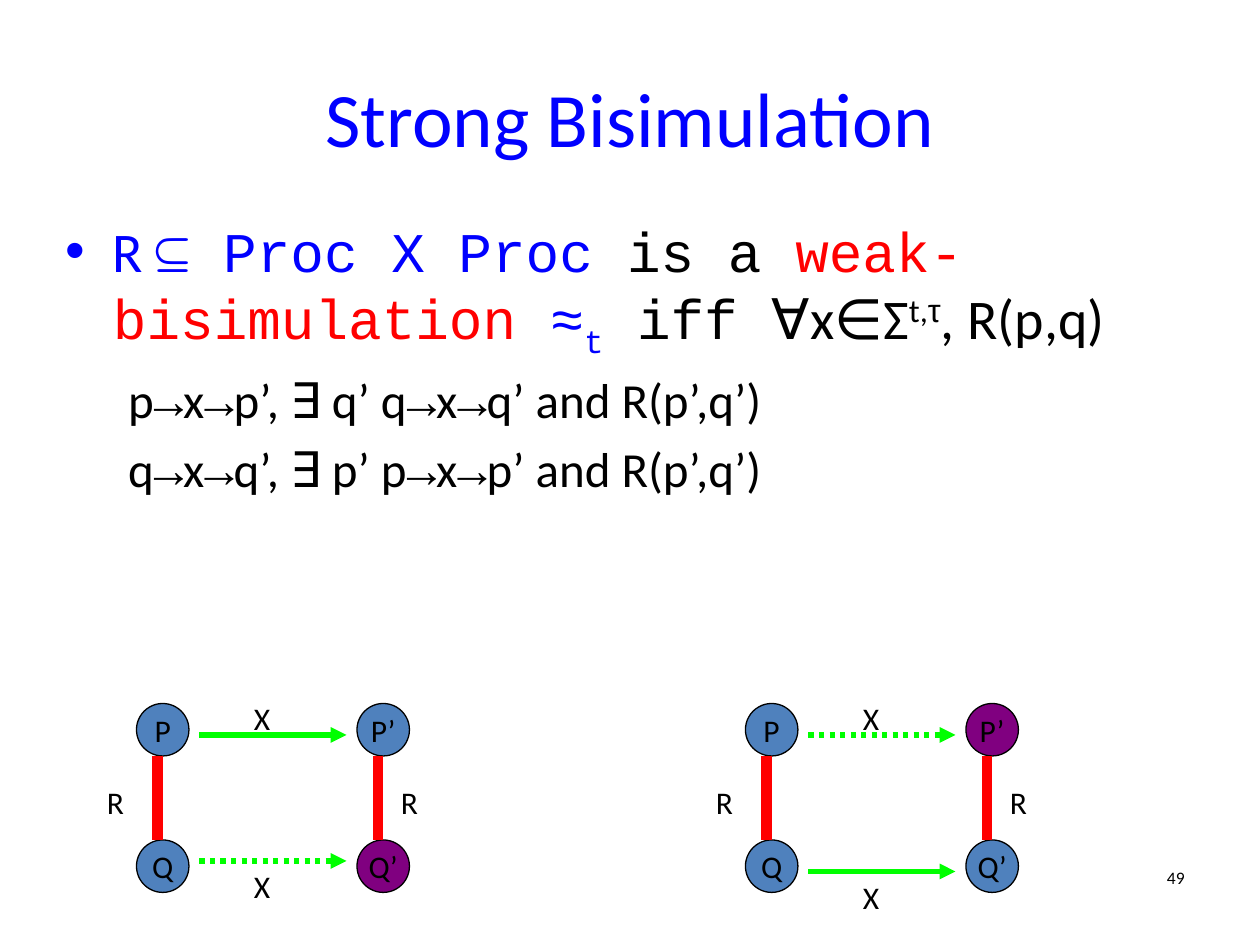
from lxml import etree
from pptx import Presentation, util as u
from pptx.dml.color import RGBColor
from pptx.enum import dml, shapes, text
from pptx.oxml.ns import qn

C = {"blue": "0000FF", "black": "000000", "red": "FF0000", "green": "00FF00",
     "node": "4F81BD", "purple": "800080"}
SANS, MONO, ARIAL = "Calibri", "Courier New", "Arial"

prs = Presentation()
prs.slide_width, prs.slide_height = u.Inches(10), u.Inches(7.5)
G = prs.slide_width // 120  # grid step: a twelfth of an inch
s = prs.slides.add_slide(prs.slide_layouts[1])


def style(r, size, color="black", font=SANS):
    r.font.size, r.font.name = u.Pt(size), font
    r.font.color.rgb = RGBColor.from_string(C[color])


def line(x1, y1, x2, y2, color, width, dash=None, arrow=False):
    cn = s.shapes.add_connector(shapes.MSO_CONNECTOR.STRAIGHT,
                                x1 * G, y1 * G, x2 * G, y2 * G)
    cn.line.color.rgb = RGBColor.from_string(C[color])
    cn.line.width = u.Pt(width)
    if dash:
        cn.line.dash_style = dash
    if arrow:
        etree.SubElement(cn.line._get_or_add_ln(), qn("a:tailEnd"), type="triangle")
    etree.SubElement(cn._element.spPr, qn("a:effectLst"))


# Title
title = s.shapes.title
title.left, title.top, title.width, title.height = 6 * G, u.Inches(0.3), 108 * G, 15 * G
title.text_frame.text = "Strong Bisimulation"
style(title.text_frame.paragraphs[0].runs[0], 44, "blue")

# Definition: one bullet and two conditions; runs are (text, colour, font, baseline)
body = s.placeholders[1]
body.left, body.top, body.width, body.height = 5 * G, 20 * G, 108 * G, 32 * G
tf = body.text_frame
tf.auto_size = text.MSO_AUTO_SIZE.NONE
definition = [
    ("R ", "blue", SANS, 0), ("⊆ Proc X Proc ", "blue", MONO, 0),
    ("is a ", "black", MONO, 0), ("weak-bisimulation ", "red", MONO, 0),
    ("≈", "blue", MONO, 0), ("t", "blue", MONO, -25),
    (" iff ", "black", MONO, 0), ("∀x∈Σ", "black", SANS, 0),
    ("t,", "black", SANS, 30), ("τ", "black", ARIAL, 30),
    (", R(p,q)", "black", SANS, 0)]
conditions = [["p", "→", "x", "→", "p’, ∃ q’ q", "→", "x", "→", "q’ and R(p’,q’)"],
              ["q", "→", "x", "→", "q’, ∃ p’ p", "→", "x", "→", "p’ and R(p’,q’)"]]
paragraphs = [definition] + [
    [(t, "black", MONO if t == "→" else SANS, 0) for t in parts] for parts in conditions]
for i, runs in enumerate(paragraphs):
    p = tf.add_paragraph() if i else tf.paragraphs[0]
    pPr = p._p.get_or_add_pPr()
    if i:
        p.level = 1
        etree.SubElement(pPr, qn("a:buNone"))
    else:
        p.space_before = u.Pt(0)
        etree.SubElement(pPr, qn("a:buChar"), char="•")
    left, hang = (0.81, 0.31) if i else (0.38, 0.38)
    pPr.set("marL", str(u.Inches(left)))
    pPr.set("indent", str(-u.Inches(hang)))
    for words, color, font, base in runs:
        r = p.add_run()
        r.text = words
        style(r, 28 if i else 32, color, font)
        if base:
            r._r.get_or_add_rPr().set("baseline", str(base * 1000))

# Two diagrams: column, purple node, rows of solid and dotted arrow, row of lower X
DOT = dml.MSO_LINE.ROUND_DOT
diagrams = [(13, "Q’", 70, 82, 82, {70: None, 82: DOT}),
            (71, "P’", 70, 83, 83, {70: DOT, 83: None})]
for x, marked, upper, lower, label_row, arrows in diagrams:
    # Processes
    for name, dx, y in [("P", 0, 67), ("Q", 0, 80), ("P’", 21, 67), ("Q’", 21, 80)]:
        sp = s.shapes.add_shape(shapes.MSO_SHAPE.OVAL, (x + dx) * G, y * G, 5 * G, 5 * G)
        sp.shadow.inherit = False
        sp.fill.solid()
        sp.fill.fore_color.rgb = RGBColor.from_string(C["purple" if name == marked else "node"])
        sp.line.color.rgb = RGBColor.from_string(C["black"])
        sp.line.width = u.Pt(0.75)
        sp.text_frame.word_wrap = False
        sp.text_frame.vertical_anchor = text.MSO_ANCHOR.MIDDLE
        p = sp.text_frame.paragraphs[0]
        p.text, p.alignment = name, text.PP_ALIGN.CENTER
        style(p.runs[0], 18)
    # Transitions and relations
    for y, dash in arrows.items():
        line(x + 6, y, x + 20, y, "green", 3, dash, arrow=True)
    for dx in (2, 23):
        line(x + dx, 72, x + dx, 80, "red", 6)
    # Labels
    for name, dx, y in [("X", 10, 66), ("X", 10, label_row), ("R", -4, 74), ("R", 24, 74)]:
        tb = s.shapes.add_textbox((x + dx) * G, y * G, u.Inches(0.35), u.Inches(0.4))
        tb.text_frame.word_wrap = True
        tb.text_frame.auto_size = text.MSO_AUTO_SIZE.SHAPE_TO_FIT_TEXT
        tb.text_frame.text = name
        style(tb.text_frame.paragraphs[0].runs[0], 18)

# Slide number
tb = s.shapes.add_textbox(86 * G, 82 * G, 28 * G, 6 * G)
tb.text_frame.word_wrap = True
p = tb.text_frame.paragraphs[0]
p.text, p.alignment = "49", text.PP_ALIGN.RIGHT
style(p.runs[0], 10)

prs.save("out.pptx")
